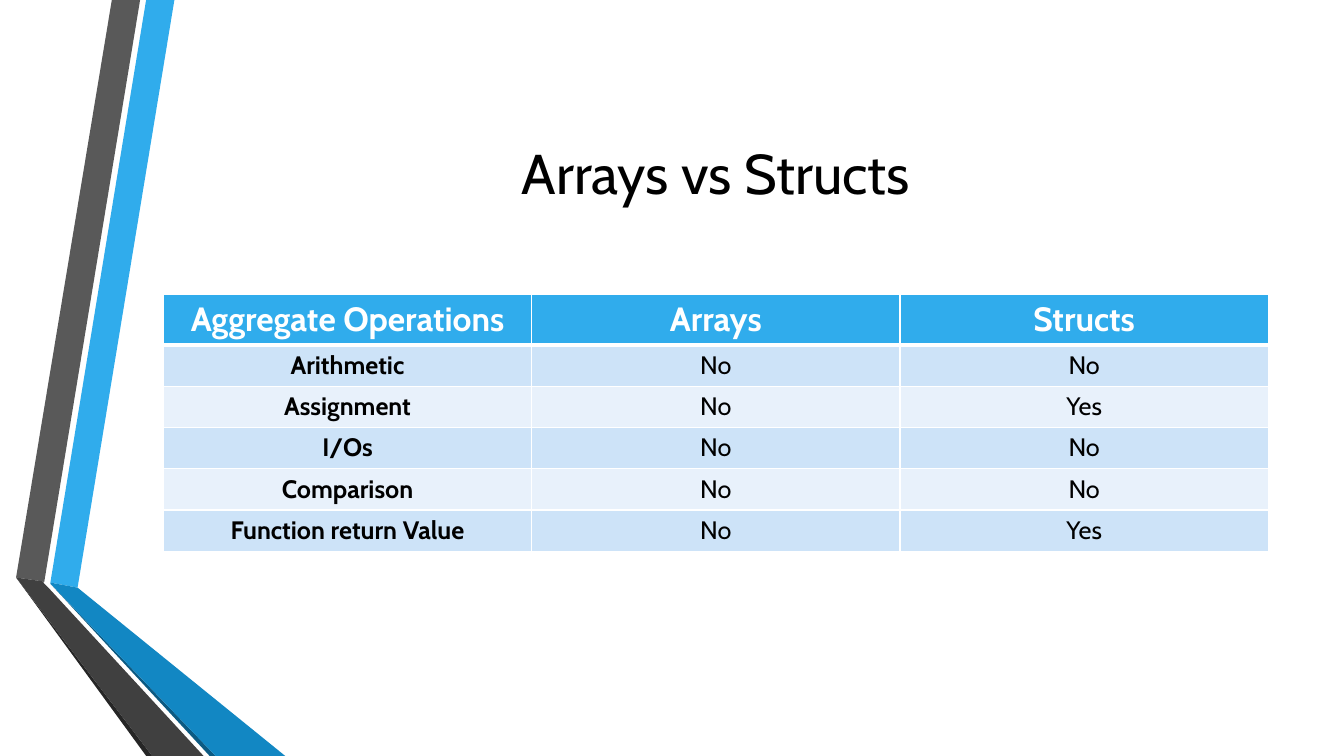
from lxml.etree import SubElement
from pptx import Presentation
from pptx.dml.color import RGBColor
from pptx.enum.text import MSO_ANCHOR, PP_ALIGN
from pptx.oxml.ns import qn
from pptx.util import Inches, Pt

# Content
TITLE = "Arrays vs Structs"
COMPARISON = [
    ("Aggregate Operations", "Arrays", "Structs"),
    ("Arithmetic", "No", "No"),
    ("Assignment", "No", "Yes"),
    ("I/Os", "No", "No"),
    ("Comparison", "No", "No"),
    ("Function return Value", "No", "Yes"),
]

# Ribbon facets, back to front: colour name and corners in inches
RIBBON = [
    ("blue", [(0.5, 5.78), (0.77, 5.83), (1.73, 0), (1.45, 0)]),
    ("grey", [(1.39, 0), (1.11, 0), (0.16, 5.73), (0.44, 5.77)]),
    ("grey_edge", [(0.16, 5.73), (1.45, 7.5), (1.51, 7.5)]),
    ("blue_edge", [(0.5, 5.79), (2.08, 7.5), (2.14, 7.5)]),
    ("blue_fold", [(0.5, 5.79), (2.14, 7.5), (2.83, 7.5), (0.77, 5.83), (0.5, 5.78)]),
    ("grey_fold", [(2.02, 7.5), (0.48, 5.83), (0.43, 5.78), (0.44, 5.77),
                   (0.16, 5.73), (1.51, 7.5)]),
]

THEME = {
    "font": "Cabin",
    "sizes": {"title": 40, "header": 24, "body": 18},
    "colors": {
        "white": "FFFFFF", "black": "000000",
        "blue": "30ACEC", "blue_fold": "1287C3", "blue_edge": "0C5A82",
        "grey": "595959", "grey_fold": "404040", "grey_edge": "262626",
        "band_dark": "CDE3F8", "band_light": "E8F1FB",
    },
}

# Layout in inches
LEFT, WIDTH = 1.62, 10.96
TITLE_TOP, TITLE_HEIGHT = 0.75, 1.92
TABLE_TOP, HEADER_HEIGHT, ROW_HEIGHT = 2.92, 0.48, 0.41
THIN, THICK = 1, 3


def color(name):
    return RGBColor.from_string(THEME["colors"][name])


def paint(target, name):
    target.fill.solid()
    target.fill.fore_color.rgb = color(name)


def write(frame, text, size, color_name, bold=False):
    frame.text = text
    paragraph = frame.paragraphs[0]
    paragraph.alignment = PP_ALIGN.CENTER
    font = paragraph.runs[0].font
    font.name = THEME["font"]
    font.size = Pt(THEME["sizes"][size])
    font.bold = bold
    font.color.rgb = color(color_name)


def add_borders(cell, top, bottom):
    properties = cell._tc.get_or_add_tcPr()
    for side, points in (("L", THIN), ("R", THIN), ("T", top), ("B", bottom)):
        line = SubElement(properties, qn(f"a:ln{side}"), w=str(Pt(points)))
        fill = SubElement(line, qn("a:solidFill"))
        SubElement(fill, qn("a:srgbClr"), val=THEME["colors"]["white"])


def add_ribbon(slide):
    for color_name, corners in RIBBON:
        points = [(Inches(x), Inches(y)) for x, y in corners]
        builder = slide.shapes.build_freeform(*points[0])
        builder.add_line_segments(points[1:], close=True)
        facet = builder.convert_to_shape()
        paint(facet, color_name)
        facet.line.fill.background()
        facet.shadow.inherit = False


def add_title(slide):
    title = slide.shapes.add_textbox(
        Inches(LEFT), Inches(TITLE_TOP), Inches(WIDTH), Inches(TITLE_HEIGHT)).text_frame
    title.word_wrap = True
    title.vertical_anchor = MSO_ANCHOR.MIDDLE
    write(title, TITLE, "title", "black")


def add_comparison(slide):
    heights = [HEADER_HEIGHT] + [ROW_HEIGHT] * (len(COMPARISON) - 1)
    table = slide.shapes.add_table(
        len(COMPARISON), len(COMPARISON[0]), Inches(LEFT), Inches(TABLE_TOP),
        Inches(WIDTH), Inches(sum(heights))).table
    for r, (values, height) in enumerate(zip(COMPARISON, heights)):
        table.rows[r].height = Inches(height)
        header = r == 0
        band = "blue" if header else "band_dark" if r % 2 else "band_light"
        for c, value in enumerate(values):
            cell = table.cell(r, c)
            write(cell.text_frame, value, "header" if header else "body",
                  "white" if header else "black", bold=header or c == 0)
            # Borders come before the fill in the cell properties
            add_borders(cell, top=THICK if r == 1 else THIN,
                        bottom=THICK if header else THIN)
            paint(cell, band)


def main():
    presentation = Presentation()
    presentation.slide_width = Inches(13.33)
    presentation.slide_height = Inches(7.5)
    slide = presentation.slides.add_slide(presentation.slide_layouts[6])
    paint(slide.background, "white")
    add_ribbon(slide)
    add_title(slide)
    add_comparison(slide)
    presentation.save("out.pptx")


if __name__ == "__main__":
    main()
